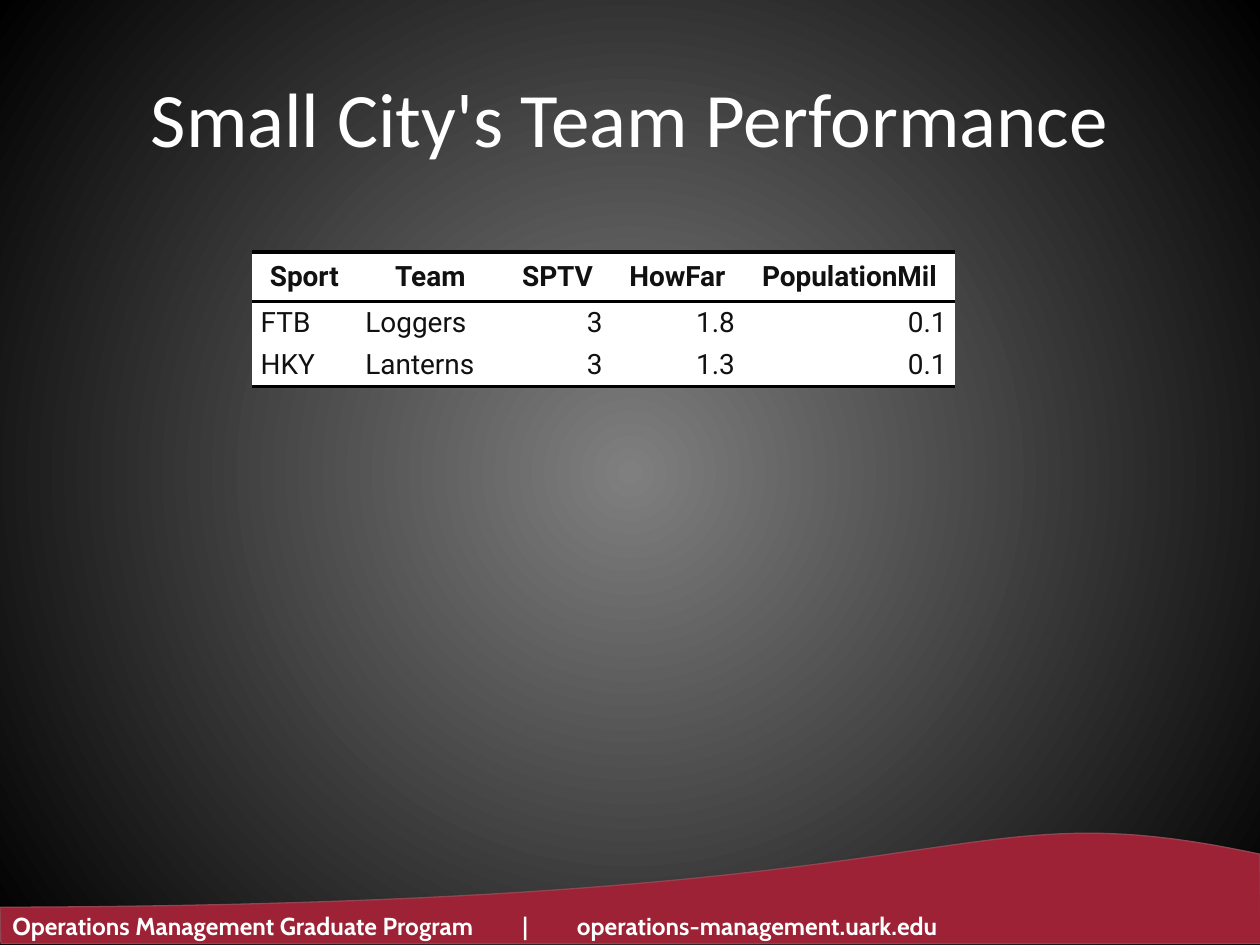
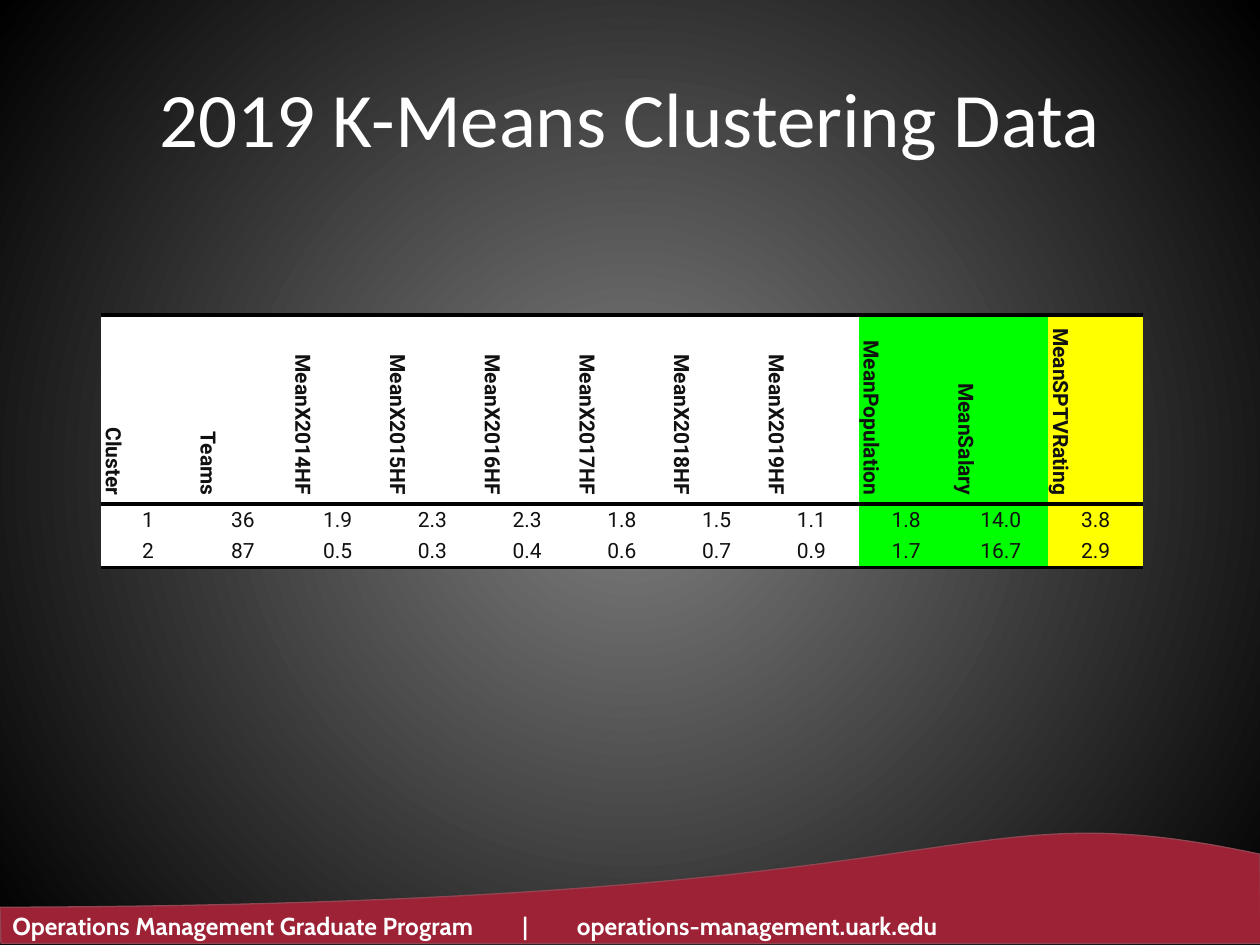
import pptx
import pptx.dml.color
import pptx.enum.text
import pptx.oxml
import pptx.oxml.ns
import pptx.util
from lxml import etree

Cm, Pt = pptx.util.Cm, pptx.util.Pt
RGBColor = pptx.dml.color.RGBColor
PP_ALIGN = pptx.enum.text.PP_ALIGN
MSO_ANCHOR = pptx.enum.text.MSO_ANCHOR
qn = pptx.oxml.ns.qn

# Colours
WHITE = RGBColor(0xFF, 0xFF, 0xFF)
BLACK = RGBColor(0x00, 0x00, 0x00)
GREY = RGBColor(0x7F, 0x7F, 0x7F)
INK = RGBColor(0x11, 0x11, 0x11)
CRIMSON = RGBColor(0x9D, 0x22, 0x35)
ROSE = RGBColor(0x8F, 0x46, 0x52)
GREEN = RGBColor(0x00, 0xFF, 0x00)
YELLOW = RGBColor(0xFF, 0xFF, 0x00)

NO_TABLE_STYLE = "{2D5ABB26-0587-4C30-8999-92F81FD0307C}"
FOOTER = "Operations Management Graduate Program\t|\toperations-management.uark.edu"
WAVE = ((0, 18.29), (20.32, 18.24), (18.95, 15.85), (25.4, 17.22))
WAVE_STEPS = 60


def add_xml(parent, tag, **attributes):
    return etree.SubElement(parent, qn(tag), {k: str(v) for k, v in attributes.items()})


def curve_point(t):
    """Point of the cubic wave at t, in EMU."""
    weights = ((1 - t) ** 3, 3 * t * (1 - t) ** 2, 3 * t ** 2 * (1 - t), t ** 3)
    return tuple(Cm(sum(w * p[axis] for w, p in zip(weights, WAVE))) for axis in (0, 1))


class Deck:
    def __init__(self):
        self.prs = pptx.Presentation()
        self.prs.slide_width, self.prs.slide_height = Cm(25.4), Cm(19.05)
        self.s = None
        self.background()

    def background(self):
        """Radial gradient shared through the slide master."""
        master = self.prs.slide_master
        fill = master.background.fill
        fill.gradient()
        for stop, position, colour in zip(fill.gradient_stops, (0, 1), (GREY, BLACK)):
            stop.position = position
            stop.color.rgb = colour
        grad = master.element.find(".//" + qn("p:bgPr")).find(qn("a:gradFill"))
        grad.remove(grad.find(qn("a:lin")))
        circle = add_xml(grad, "a:path", path="circle")
        add_xml(circle, "a:fillToRect", l=50000, t=50000, r=50000, b=50000)

    def slide(self, title):
        self.s = self.prs.slides.add_slide(self.prs.slide_layouts[5])
        self.wave()
        self.footer()
        self.title(title)

    def font(self, p, name, size, colour, bold=False):
        for r in p.runs:
            r.font.name, r.font.size, r.font.bold = name, Pt(size), bold
            r.font.color.rgb = colour

    def title(self, text):
        sp = self.s.shapes.title
        sp.left, sp.top, sp.width, sp.height = Cm(1.27), Cm(0.76), Cm(22.86), Cm(3.18)
        tf = sp.text_frame
        tf.text = text
        tf.vertical_anchor = MSO_ANCHOR.MIDDLE
        tf.paragraphs[0].alignment = PP_ALIGN.CENTER
        self.font(tf.paragraphs[0], "Calibri", 44, WHITE)

    def wave(self):
        builder = self.s.shapes.build_freeform(Cm(25.42), Cm(19.02), scale=1)
        top = [curve_point(i / WAVE_STEPS) for i in range(WAVE_STEPS + 1)]
        builder.add_line_segments([(Cm(0.02), Cm(19.02))] + top, close=True)
        sp = builder.convert_to_shape()
        sp.fill.solid()
        sp.fill.fore_color.rgb = CRIMSON
        sp.line.color.rgb = ROSE
        sp.line.width = Pt(0.75)
        # Soft shadow below the edge
        sp.shadow.inherit = False
        effects = sp.element.spPr.find(qn("a:effectLst"))
        shadow = add_xml(effects, "a:outerShdw", blurRad=Pt(3.1), dist=Pt(1.8),
                         dir=5400000, rotWithShape=0)
        add_xml(add_xml(shadow, "a:srgbClr", val=BLACK), "a:alpha", val=35000)

    def footer(self):
        sp = self.s.shapes.add_textbox(Cm(0), Cm(18.24), Cm(24.08), Cm(0.86))
        tf = sp.text_frame
        tf.word_wrap = True
        tf.auto_size = pptx.enum.text.MSO_AUTO_SIZE.SHAPE_TO_FIT_TEXT
        tf.text = FOOTER
        p = tf.paragraphs[0]
        tabs = add_xml(p._p.get_or_add_pPr(), "a:tabLst")
        add_xml(tabs, "a:tab", pos=Cm(10.34), algn="ctr")
        add_xml(tabs, "a:tab", pos=Cm(11.38), algn="l")
        self.font(p, "Cabin", 14, WHITE, bold=True)

    def table(self, left, top, widths, heights, rows, size, aligns,
              header_align, fills, vertical_header=False):
        frame = self.s.shapes.add_table(len(rows), len(widths), Cm(left), Cm(top),
                                        Cm(sum(widths)), Cm(sum(heights)))
        table = frame.table
        table.first_row = table.horz_banding = False
        frame.element.find(".//" + qn("a:tableStyleId")).text = NO_TABLE_STYLE
        for column, width in zip(table.columns, widths):
            column.width = Cm(width)
        for row, height in zip(table.rows, heights):
            row.height = Cm(height)
        for i, row in enumerate(rows):
            header = i == 0
            rules = ("a:lnT", "a:lnB") if header else ("a:lnB",) if i == len(rows) - 1 else ()
            for j, text in enumerate(row):
                cell = table.cell(i, j)
                self.cell(cell, text, size, header_align if header else aligns[j],
                          fills[j], header, rules)
                if header and vertical_header:
                    cell._tc.get_or_add_tcPr().set("vert", "vert")

    def cell(self, cell, text, size, align, fill, bold, rules):
        cell.margin_left = cell.margin_right = cell.margin_top = cell.margin_bottom = 0
        cell.vertical_anchor = MSO_ANCHOR.MIDDLE
        for rule in rules:
            line = add_xml(cell._tc.get_or_add_tcPr(), rule, w=Pt(2))
            add_xml(add_xml(line, "a:solidFill"), "a:srgbClr", val=BLACK)
        cell.fill.solid()
        cell.fill.fore_color.rgb = fill
        cell.text_frame.text = text
        p = cell.text_frame.paragraphs[0]
        p.alignment = align
        p.space_before = p.space_after = Pt(2)
        pPr = p._p.get_or_add_pPr()
        for side in ("marL", "marR"):
            pPr.set(side, str(Pt(5)))
        pPr.set("indent", "0")
        self.font(p, "Roboto", size, INK, bold)


def main():
    deck = Deck()

    # Team performance
    deck.slide("Small City's Team Performance")
    deck.table(
        5.08, 5.08, (2.11, 2.97, 2.16, 2.67, 4.27), (0.99, 0.86, 0.86),
        (("Sport", "Team", "SPTV", "HowFar", "PopulationMil"),
         ("FTB", "Loggers", "3", "1.8", "0.1"),
         ("HKY", "Lanterns", "3", "1.3", "0.1")),
        size=16, aligns=[PP_ALIGN.LEFT] * 2 + [PP_ALIGN.RIGHT] * 3,
        header_align=PP_ALIGN.CENTER, fills=[WHITE] * 5)

    # Cluster means
    years = [f"MeanX{year}HF" for year in range(2014, 2020)]
    deck.slide("2019 K-Means Clustering Data")
    deck.table(
        2.03, 6.35, [1.91] * 11, (3.81, 0.64, 0.64),
        (["Cluster", "Teams"] + years + ["MeanPopulation", "MeanSalary", "MeanSPTVRating"],
         "1 36 1.9 2.3 2.3 1.8 1.5 1.1 1.8 14.0 3.8".split(),
         "2 87 0.5 0.3 0.4 0.6 0.7 0.9 1.7 16.7 2.9".split()),
        size=12, aligns=[PP_ALIGN.CENTER] * 11, header_align=PP_ALIGN.RIGHT,
        fills=[WHITE] * 8 + [GREEN] * 2 + [YELLOW], vertical_header=True)

    deck.prs.save("out.pptx")


if __name__ == "__main__":
    main()
